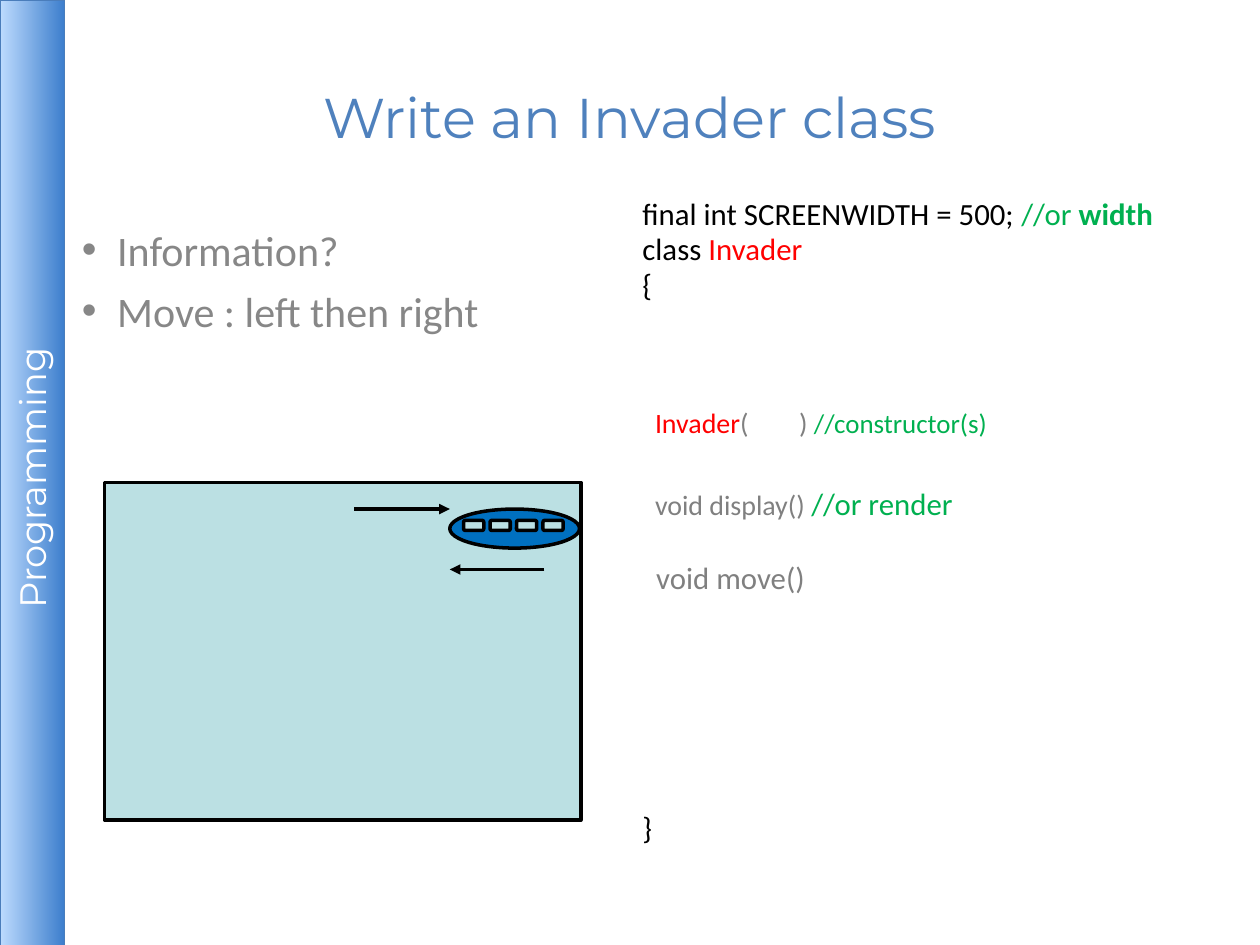
import pptx
import pptx.util
from pptx.dml.color import RGBColor
from pptx.enum.shapes import MSO_CONNECTOR, MSO_SHAPE
from pptx.enum.text import MSO_ANCHOR, PP_ALIGN
from pptx.oxml.ns import qn
from pptx.util import Inches, Pt
from lxml import etree

WHITE = RGBColor(0xFF, 0xFF, 0xFF)
BLACK = RGBColor(0x00, 0x00, 0x00)
RED = RGBColor(0xFF, 0x00, 0x00)
GREEN = RGBColor(0x00, 0xB0, 0x50)
GREY = RGBColor(0x80, 0x80, 0x80)
BULLET_GREY = RGBColor(0x87, 0x87, 0x87)
TITLE_BLUE = RGBColor(0x4F, 0x81, 0xBD)
BAR_LIGHT = RGBColor(0xBD, 0xDB, 0xFE)
BAR_DARK = RGBColor(0x3E, 0x7F, 0xCD)
BAR_EDGE = RGBColor(0x4A, 0x7D, 0xBB)
SCREEN = RGBColor(0xBB, 0xE0, 0xE3)
HULL = RGBColor(0x00, 0x70, 0xC0)

HEADING_FONT = "Montserrat"
BODY_FONT = "Calibri"
INSETS = ("margin_left", "margin_top", "margin_right", "margin_bottom")


def set_all(target, values):
    for name, value in values.items():
        setattr(target, name, value)


class SlideBuilder:
    def __init__(self, slide, line_width=2):
        self.slide = slide
        self.line_width = line_width

    def add_runs(self, paragraph, runs, layout):
        """Fill a paragraph from (text, font values, letter spacing) runs."""
        set_all(paragraph, layout)
        for text, font, spacing in runs:
            run = paragraph.add_run()
            run.text = text
            values = dict(font)
            run.font.color.rgb = values.pop("color")
            set_all(run.font, values)
            if spacing:
                run.font._element.set("spc", str(int(spacing * 100)))

    def indent(self, paragraph, left, first=0, bullet=None):
        props = paragraph._p.get_or_add_pPr()
        props.set("marL", str(Inches(left)))
        props.set("indent", str(Inches(first)))
        if bullet:
            etree.SubElement(props, qn("a:buFont")).set("typeface", "Arial")
            etree.SubElement(props, qn("a:buChar")).set("char", bullet)

    def text_frame(self, box, inset=None, anchor=MSO_ANCHOR.TOP):
        frame = self.slide.shapes.add_textbox(*map(Inches, box)).text_frame
        return self.prepare(frame, inset, anchor)

    def prepare(self, frame, inset, anchor):
        set_all(frame, {"word_wrap": True, "vertical_anchor": anchor})
        if inset is not None:
            set_all(frame, dict.fromkeys(INSETS, Inches(inset)))
        return frame

    def shape(self, kind, box, fill, parent=None):
        shapes = (parent or self.slide).shapes
        drawn = shapes.add_shape(kind, *map(Inches, box))
        drawn.shadow.inherit = False
        drawn.fill.solid()
        drawn.fill.fore_color.rgb = fill
        drawn.line.color.rgb = BLACK
        drawn.line.width = Pt(self.line_width)
        return drawn

    def sidebar(self, box, text):
        """Draw a bar turned a quarter left, shaded from left to right."""
        bar = self.shape(MSO_SHAPE.RECTANGLE, box, BAR_LIGHT)
        bar.rotation = 270
        bar.fill.gradient()
        bar.fill.gradient_angle = 270
        for stop, color, position in zip(
                bar.fill.gradient_stops, (BAR_LIGHT, BAR_DARK), (0, 1)):
            stop.color.rgb = color
            stop.position = position
        bar.line.color.rgb = BAR_EDGE
        bar.line.width = Pt(0.75)
        frame = self.prepare(bar.text_frame, 0.04, MSO_ANCHOR.MIDDLE)
        font = {"size": Pt(21), "name": HEADING_FONT, "color": WHITE}
        self.add_runs(frame.paragraphs[0], [(text, font, 0)],
                      {"alignment": PP_ALIGN.CENTER})

    def title(self, box, text):
        frame = self.text_frame(box, 0.04, MSO_ANCHOR.MIDDLE)
        font = {"size": Pt(32), "name": HEADING_FONT, "color": TITLE_BLUE}
        self.add_runs(frame.paragraphs[0], [(text, font, 0)],
                      {"alignment": PP_ALIGN.CENTER})

    def bullets(self, box, items):
        frame = self.text_frame(box, 0.04)
        font = {"size": Pt(24), "name": BODY_FONT, "color": BULLET_GREY}
        for number, item in enumerate(items):
            paragraph = frame.add_paragraph() if number else frame.paragraphs[0]
            self.add_runs(paragraph, [(item, font, 0)], {"space_before": Pt(6)})
            self.indent(paragraph, 0.28, -0.28, "•")

    def code(self, box, lines):
        """Add lines of (gap before, line spacing, left indent, runs)."""
        frame = self.text_frame(box)
        for number, (gap, spacing, left, runs) in enumerate(lines):
            paragraph = frame.add_paragraph() if number else frame.paragraphs[0]
            self.add_runs(paragraph, runs,
                          {"space_before": Pt(gap), "line_spacing": spacing})
            self.indent(paragraph, left)

    def arrow(self, start, end):
        line = self.slide.shapes.add_connector(
            MSO_CONNECTOR.STRAIGHT, *map(Inches, start + end))
        line.line.color.rgb = BLACK
        line.line.width = Pt(self.line_width)
        head = etree.SubElement(line.line._get_or_add_ln(), qn("a:tailEnd"))
        head.set("type", "triangle")
        etree.SubElement(line._element.spPr, qn("a:effectLst"))

    def invader(self, left, top):
        group = self.slide.shapes.add_group_shape()
        self.shape(MSO_SHAPE.OVAL, (left, top, 1.03, 0.31), HULL, group)
        for window in range(4):
            box = (left + 0.11 + window * 0.21, top + 0.09, 0.16, 0.08)
            self.shape(MSO_SHAPE.ROUNDED_RECTANGLE, box, SCREEN, group)


def code_run(text, color, size=17.6, bold=False, spacing=0):
    font = {"size": Pt(size), "name": BODY_FONT, "bold": bold, "color": color}
    return text, font, spacing


CODE_LINES = [
    (3.5, 0.8, 0, [code_run("final int SCREENWIDTH = 500; ", BLACK),
                   code_run("//or ", GREEN),
                   code_run("width", GREEN, bold=True)]),
    (3.5, 0.8, 0, [code_run("class ", BLACK), code_run("Invader", RED)]),
    (3.5, 0.8, 0, [code_run("{", BLACK)]),
    (59, 1.0, 0.1, [code_run("Invader", RED, 16),
                    code_run("(", GREY, 16),
                    code_run(" ", GREY, 16, spacing=25.3),
                    code_run(") ", GREY, 16),
                    code_run("//constructor(s)", GREEN, 15.4)]),
    (26, 1.0, 0.1, [code_run("void display() ", GREY, 16),
                    code_run("//or render", GREEN)]),
    (25.5, 0.8, 0.11, [code_run("void move()", GREY)]),
    (125.5, 0.8, 0, [code_run("}", BLACK)]),
]


def main():
    deck = pptx.Presentation()
    deck.slide_width, deck.slide_height = Inches(10), Inches(7.5)
    builder = SlideBuilder(deck.slides.add_slide(deck.slide_layouts[6]))

    builder.sidebar((-3.5, 3.5, 7.51, 0.51), "Programming ")
    builder.title((0.5, 0.3, 9, 1.25), "Write an Invader class")
    builder.bullets((0.61, 1.74, 4.39, 5.24),
                    ["Information?", "Move : left then right"])
    builder.code((5, 1.55, 4.69, 5.61), CODE_LINES)

    builder.shape(MSO_SHAPE.RECTANGLE, (0.83, 3.83, 3.78, 2.68), SCREEN)
    builder.invader(3.57, 4.04)
    builder.arrow((2.81, 4.04), (3.57, 4.04))
    builder.arrow((4.32, 4.52), (3.57, 4.52))

    deck.save("out.pptx")


if __name__ == "__main__":
    main()
